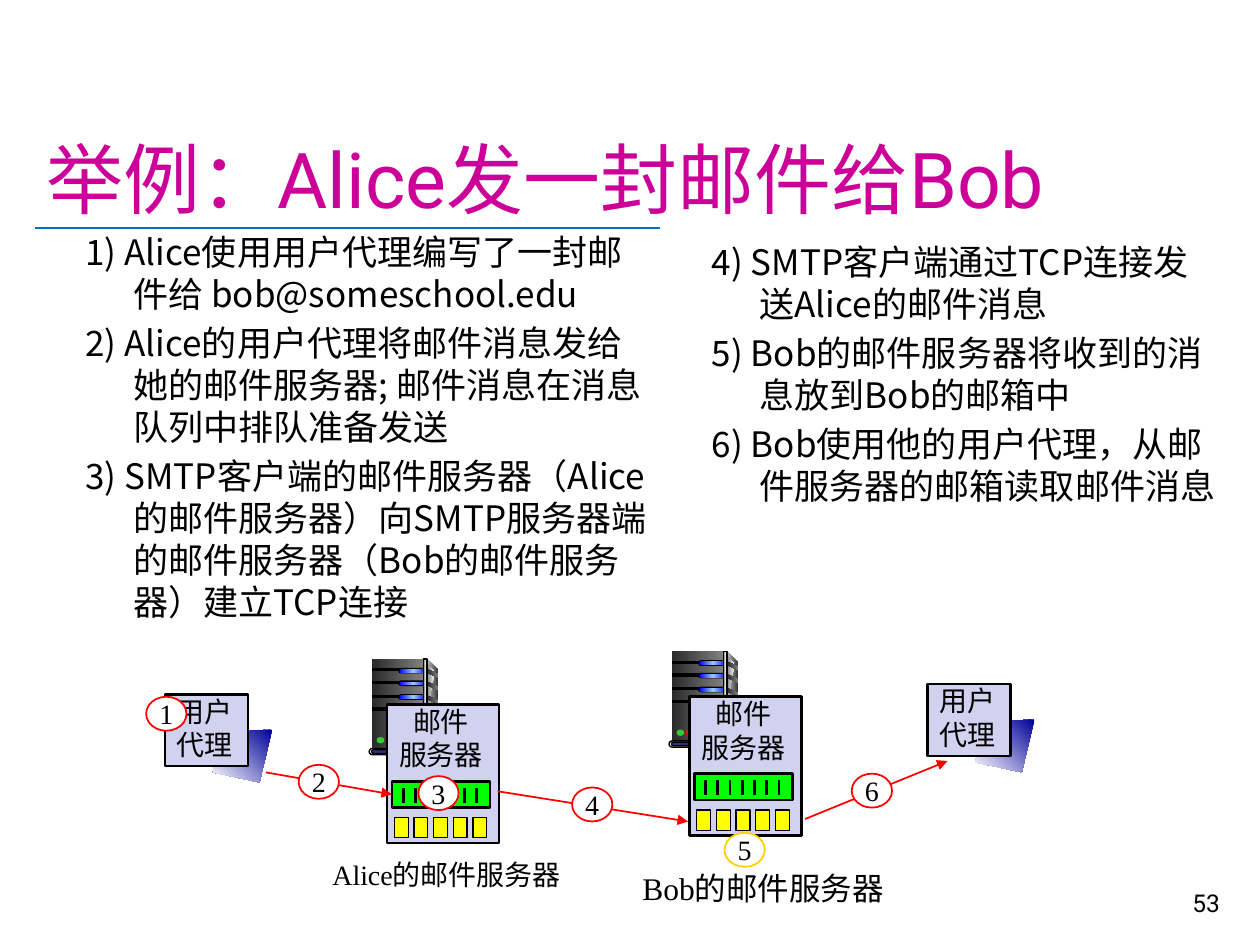
from lxml import etree
from pptx import Presentation
from pptx.dml.color import RGBColor
from pptx.enum import shapes, text
from pptx.oxml.ns import qn
from pptx.util import Inches, Pt

# Lengths are cells of a grid of 1000 columns by 750 rows
COLUMNS, ROWS = 1000, 750
CELL = Inches(0.01)
COLORS = {
    "title": "CC0099", "rule": "0070C0", "black": "000000", "white": "FFFFFF",
    "lilac": "D1D1F0", "navy": "000099", "green": "00FF00", "yellow": "FFFF00",
    "red": "FF0000", "gold": "FFCF01", "coal": "292929", "gray": "808080",
    "dark": "333333", "light": "DDDDDD", "pale": "F8F8F8", "blue": "0000FF",
    "sky": "99CCFF", "indigo": "333399", "ink": "1C1C1C", "lamp": "33CC33",
}
SANS, SERIF, HEAD = "Noto Sans CJK SC", "Times New Roman", "Roboto"
KIND = shapes.MSO_SHAPE
ALIGN, ANCHOR = text.PP_ALIGN, text.MSO_ANCHOR
LEFT_STEPS = [
    "1) Alice使用用户代理编写了一封邮件给 bob@someschool.edu",
    "2) Alice的用户代理将邮件消息发给她的邮件服务器; 邮件消息在消息队列中排队准备发送",
    "3) SMTP客户端的邮件服务器（Alice的邮件服务器）向SMTP服务器端的邮件服务器（Bob的邮件服务器）建立TCP连接",
]
RIGHT_STEPS = [
    "4) SMTP客户端通过TCP连接发送Alice的邮件消息",
    "5) Bob的邮件服务器将收到的消息放到Bob的邮箱中",
    "6) Bob使用他的用户代理，从邮件服务器的邮箱读取邮件消息",
]


def cells(*counts):
    return [round(count * CELL) for count in counts]


def rgb(name):
    return RGBColor.from_string(COLORS[name])


def paint(shape, fill, line=None, width=0.75, angle=0):
    """Fill with one colour name, or with a gradient through a list of them."""
    shape.shadow.inherit = False
    if isinstance(fill, str):
        shape.fill.solid()
        shape.fill.fore_color.rgb = rgb(fill)
    else:
        shape.fill.gradient()
        shape.fill.gradient_angle = angle
        stops = shape._element.spPr.find(".//" + qn("a:gsLst"))
        for stop in list(stops):
            stops.remove(stop)
        for i, name in enumerate(fill):
            place = str(100000 * i // (len(fill) - 1))
            stop = etree.SubElement(stops, qn("a:gs"), pos=place)
            etree.SubElement(stop, qn("a:srgbClr"), val=COLORS[name])
    if line:
        shape.line.color.rgb = rgb(line)
        shape.line.width = Pt(width)
    else:
        shape.line.fill.background()
    return shape


def add_part(parent, origin, box, fill, line=None, width=0.75, kind=KIND.RECTANGLE):
    x, y, w, h = box
    shape = parent.shapes.add_shape(kind, *cells(origin[0] + x, origin[1] + y, w, h))
    if kind == KIND.ROUNDED_RECTANGLE:
        shape.adjustments[0] = 0.5
    return paint(shape, fill, line, width)


def add_outline(parent, origin, points, fill, angle=0):
    corners = [cells(origin[0] + x, origin[1] + y) for x, y in points]
    builder = parent.shapes.build_freeform(*corners[0])
    builder.add_line_segments(corners[1:], close=True)
    return paint(builder.convert_to_shape(), fill, angle=angle)


def add_line(parent, start, end, color, width, arrow=False):
    line = parent.shapes.add_connector(
        shapes.MSO_CONNECTOR.STRAIGHT, *cells(*start, *end))
    line.line.color.rgb = rgb(color)
    line.line.width = Pt(width)
    if arrow:
        etree.SubElement(line.line._get_or_add_ln(), qn("a:tailEnd"), type="triangle")
    etree.SubElement(line._element.spPr, qn("a:effectLst"))
    return line


def write(frame, lines, size, font, color="black", align=ALIGN.LEFT,
          anchor=ANCHOR.TOP, wrap=True, hanging=False):
    frame.word_wrap = wrap
    frame.vertical_anchor = anchor
    for i, line in enumerate(lines):
        para = frame.add_paragraph() if i else frame.paragraphs[0]
        para.text = line
        para.alignment = align
        if i:
            para.space_before = Pt(size * 0.2)
        if hanging:
            props = para._p.get_or_add_pPr()
            props.set("marL", str(Inches(0.38)))
            props.set("indent", str(-Inches(0.38)))
        para.font.size = Pt(size)
        para.font.name = font
        para.font.color.rgb = rgb(color)
        etree.SubElement(para._p.pPr.find(qn("a:defRPr")), qn("a:ea"), typeface=SANS)


def add_text(parent, box, lines, size, font, **style):
    write(parent.shapes.add_textbox(*cells(*box)).text_frame, lines, size, font, **style)


def add_label(parent, box, label):
    add_text(parent, box, [label], 16, SERIF, align=ALIGN.CENTER, wrap=False)


def user_agent(page, x, y):
    group = page.shapes.add_group_shape()
    add_outline(group, (x, y), [(85, 28), (45, 30), (38, 62), (75, 70)],
                ["navy", "white"], angle=225)
    add_part(group, (x, y), (0, 0, 66, 57), "lilac", "black", 1.5)
    add_label(group, (x - 1, y - 5, 65, 64), "用户\n代理")


def server_tower(page, x, y):
    group, origin = page.shapes.add_group_shape(), (x, y)
    pill, metal = KIND.ROUNDED_RECTANGLE, ["coal", "gray"]
    # Side and front
    add_outline(group, origin, [(46, 0), (55, 9), (55, 69), (44, 72)], ["light", "dark"])
    add_part(group, origin, (2, 0, 41, 72), metal)
    add_outline(group, origin, [(46, 4), (52, 10), (49, 26), (47, 50), (46, 64)],
                ["gray", "pale"])
    # Shelves, the upper three with a lit drive and a side vent
    for i in range(4):
        top = round(8 + 10.3 * i)
        add_part(group, origin, (2.5, top, 23, 1.5), "black", "black")
        if i < 3:
            add_part(group, origin, (23, top - 1, 23, 4.5), "black", kind=pill)
            add_part(group, origin, (24, top, 22, 3), ["blue", "sky", "blue"], kind=pill)
            add_outline(group, origin, [(46, top), (55, top + 4), (55, top + 7),
                                        (46, top + 3)], metal)
    # Post, base and lamps
    add_part(group, origin, (43, 0, 3, 72), ["dark", "light", "dark"], "black")
    add_part(group, origin, (0, 71, 47, 5), "light", "black", kind=pill)
    add_part(group, origin, (2, 72, 42, 3), ["indigo", "ink"], "black", kind=pill)
    for column, color in ((6, "lamp"), (13, "red")):
        add_part(group, origin, (column, 62, 6, 5), color, kind=KIND.OVAL)


def mail_server(page, x, y):
    """Draw the server and return its message queue."""
    group, origin = page.shapes.add_group_shape(), (x, y)
    add_part(group, origin, (0, 0, 89, 110), "lilac", "black", 1.5)
    add_label(group, (x - 1, y - 5, 88, 64), "邮件\n服务器")
    queue = add_part(group, origin, (4, 61, 78, 21), "green", "black", 1.5)
    for i in range(7):
        column = x + 13 + 9.7 * i
        add_line(group, (column, y + 66), (column, y + 78), "black", 1.5)
    for i in range(5):
        add_part(group, origin, (6 + 15.6 * i, 90, 11, 16), "yellow", "black")
    return queue


def step_badge(page, number, x, y, color="red"):
    badge = add_part(page, (x, y), (0, 0, 32, 27), "white", color, 1, KIND.OVAL)
    write(badge.text_frame, [str(number)], 16, SERIF, align=ALIGN.CENTER,
          anchor=ANCHOR.MIDDLE, wrap=False)


def heading(page):
    add_line(page, (28, 181), (524, 181), "rule", 1.25)
    add_text(page, (27, 23, 951, 160), ["举例：Alice发一封邮件给Bob"], 44, HEAD,
             color="title", anchor=ANCHOR.BOTTOM)
    add_text(page, (770, 683, 208, 50), ["53"], 14, HEAD,
             align=ALIGN.RIGHT, anchor=ANCHOR.BOTTOM)


def mail_route(page):
    user_agent(page, 131, 551)
    server_tower(page, 531, 517)
    server_tower(page, 293, 523)
    alice_queue = mail_server(page, 307, 559)
    mail_server(page, 547, 553)
    # Arrows
    upload = add_line(page, (211, 613), (309, 629), "red", 1, arrow=True)
    upload.end_connect(alice_queue, 1)
    add_line(page, (395, 628), (546, 652), "red", 1, arrow=True)
    add_line(page, (639, 650), (752, 604), "red", 1, arrow=True)
    # Step numbers
    places = [(116, 553), (237, 607), (332, 616), (454, 625), (575, 661), (676, 614)]
    for number, (x, y) in enumerate(places, 1):
        step_badge(page, number, x, y, "gold" if number == 5 else "red")
    user_agent(page, 736, 543)
    # Captions
    add_text(page, (254, 676, 204, 37), ["Alice的邮件服务器"], 16, SERIF, hanging=True)
    add_text(page, (500, 685, 214, 40), ["Bob的邮件服务器"], 18, SERIF, hanging=True)


def main():
    deck = Presentation()
    deck.slide_width, deck.slide_height = cells(COLUMNS, ROWS)
    page = deck.slides.add_slide(deck.slide_layouts[6])
    heading(page)
    add_text(page, (58, 178, 473, 352), LEFT_STEPS, 20, SANS, hanging=True)
    add_text(page, (555, 186, 425, 346), RIGHT_STEPS, 20, SANS, hanging=True)
    mail_route(page)
    deck.save("out.pptx")


if __name__ == "__main__":
    main()
